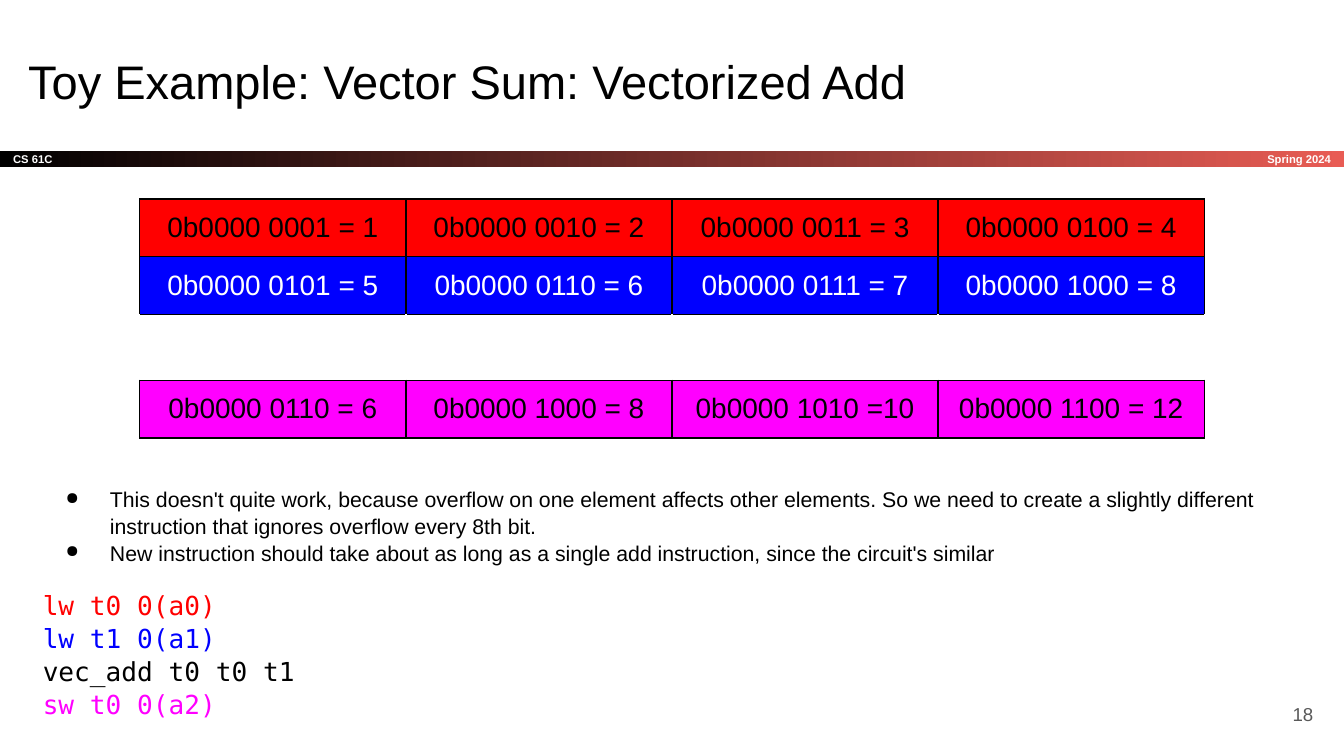
from lxml import etree
from pptx import Presentation
from pptx.dml.color import RGBColor
from pptx.enum.shapes import MSO_SHAPE
from pptx.enum.text import MSO_ANCHOR, MSO_AUTO_SIZE, PP_ALIGN
from pptx.oxml.ns import qn
from pptx.util import Inches, Pt

BLACK = RGBColor(0x00, 0x00, 0x00)
WHITE = RGBColor(0xFF, 0xFF, 0xFF)
RED = RGBColor(0xFF, 0x00, 0x00)
BLUE = RGBColor(0x00, 0x00, 0xFF)
MAGENTA = RGBColor(0xFF, 0x00, 0xFF)
CORAL = RGBColor(0xE8, 0x5C, 0x54)
GRAY = RGBColor(0x59, 0x59, 0x59)


def style(paragraph, size, color, bold=False, align=PP_ALIGN.LEFT, name="Arial"):
    paragraph.alignment = align
    font = paragraph.font
    font.name, font.size, font.bold = name, Pt(size), bold
    font.color.rgb = color


def label(shape, text, size, color, bold, align):
    frame = shape.text_frame
    frame.word_wrap = True
    frame.vertical_anchor = MSO_ANCHOR.MIDDLE
    frame.margin_top = frame.margin_bottom = 0
    frame.text = text
    style(frame.paragraphs[0], size, color, bold, align)


presentation = Presentation()
presentation.slide_width = Inches(10)
presentation.slide_height = Inches(10) * 9 // 16
slide = presentation.slides.add_slide(presentation.slide_layouts[5])

bar = slide.shapes.add_shape(MSO_SHAPE.RECTANGLE, 0, Inches(1.12), Inches(10), Inches(0.12))
bar.shadow.inherit = False
bar.line.fill.background()
bar.fill.gradient()
bar.fill.gradient_angle = 0
for stop, color in zip(bar.fill.gradient_stops, (BLACK, CORAL)):
    stop.color.rgb = color
label(bar, "CS 61C", 6, WHITE, True, PP_ALIGN.LEFT)
term = slide.shapes.add_textbox(Inches(8.34), Inches(1.12), Inches(1.66), Inches(0.12))
label(term, "Spring 2024", 6, WHITE, True, PP_ALIGN.RIGHT)

title = slide.shapes.title
title.left, title.top = Inches(0.11), Inches(0.3)
title.width, title.height = Inches(9.32), Inches(0.63)
title.text = "Toy Example: Vector Sum: Vectorized Add"
title.text_frame.auto_size = MSO_AUTO_SIZE.NONE
title.text_frame.vertical_anchor = MSO_ANCHOR.BOTTOM
title.text_frame.margin_bottom = Inches(0.12)
style(title.text_frame.paragraphs[0], 25.2, BLACK)

body = slide.shapes.add_textbox(Inches(0.22), Inches(3.51), Inches(9.57), Inches(1.97))
frame = body.text_frame
frame.word_wrap = True
frame.margin_top = frame.margin_bottom = Inches(0.1)
bullets = [
    "This doesn't quite work, because overflow on one element affects other elements. "
    "So we need to create a slightly different instruction that ignores overflow every 8th bit.",
    "New instruction should take about as long as a single add instruction, "
    "since the circuit's similar",
]
frame.text = "\n".join(bullets)
for paragraph in frame.paragraphs:
    paragraph.line_spacing = 1.05
    properties = paragraph._p.get_or_add_pPr()
    properties.set("marL", str(Inches(0.5)))
    properties.set("indent", str(Inches(-0.33)))
    etree.SubElement(properties, qn("a:buSzPct")).set("val", "80000")
    etree.SubElement(properties, qn("a:buChar")).set("char", "●")
    style(paragraph, 11.4, BLACK)

code_lines = [
    ("lw t0 0(a0)", RED),
    ("lw t1 0(a1)", BLUE),
    ("vec_add t0 t0 t1", BLACK),
    ("sw t0 0(a2)", MAGENTA),
]
code = frame.add_paragraph()
code.line_spacing = 1.05
code.space_before = code.space_after = Pt(12)
style(code, 14, BLACK, name="DejaVu Sans Mono")
for index, (text, color) in enumerate(code_lines):
    if index:
        code.add_line_break()
    run = code.add_run()
    run.text = text
    run.font.color.rgb = color

rows = [
    (["0b0000 0001 = 1", "0b0000 0010 = 2", "0b0000 0011 = 3", "0b0000 0100 = 4"], RED, BLACK, 0.43),
    (["0b0000 0101 = 5", "0b0000 0110 = 6", "0b0000 0111 = 7", "0b0000 1000 = 8"], BLUE, WHITE, 0.43),
    ([""] * 4, None, BLACK, 0.49),
    (["0b0000 0110 = 6", "0b0000 1000 = 8", "0b0000 1010 =10", "0b0000 1100 = 12"], MAGENTA, BLACK, 0.43),
]
table = slide.shapes.add_table(
    4, 4, Inches(1.04), Inches(1.48), Inches(7.92), Inches(1.78)
).table
table.first_row = table.horz_banding = False
for column in table.columns:
    column.width = Inches(1.98)
for row, (values, fill_color, text_color, height) in zip(table.rows, rows):
    row.height = Inches(height)
    for cell, value in zip(row.cells, values):
        cell.text = value
        cell.vertical_anchor = MSO_ANCHOR.MIDDLE
        style(cell.text_frame.paragraphs[0], 15, text_color, align=PP_ALIGN.CENTER)
        side_color = BLACK if fill_color else WHITE
        borders = (("L", side_color), ("R", side_color), ("T", BLACK), ("B", BLACK))
        for edge, color in borders:
            line = etree.SubElement(cell._tc.get_or_add_tcPr(), qn(f"a:ln{edge}"), w=str(Pt(0.75)))
            solid = etree.SubElement(line, qn("a:solidFill"))
            etree.SubElement(solid, qn("a:srgbClr"), val=str(color))
        if fill_color:
            cell.fill.solid()
            cell.fill.fore_color.rgb = fill_color
        else:
            cell.fill.background()

number = slide.shapes.add_textbox(Inches(9.27), Inches(5.1), Inches(0.6), Inches(0.43))
label(number, "18", 10, GRAY, False, PP_ALIGN.RIGHT)

presentation.save("out.pptx")
